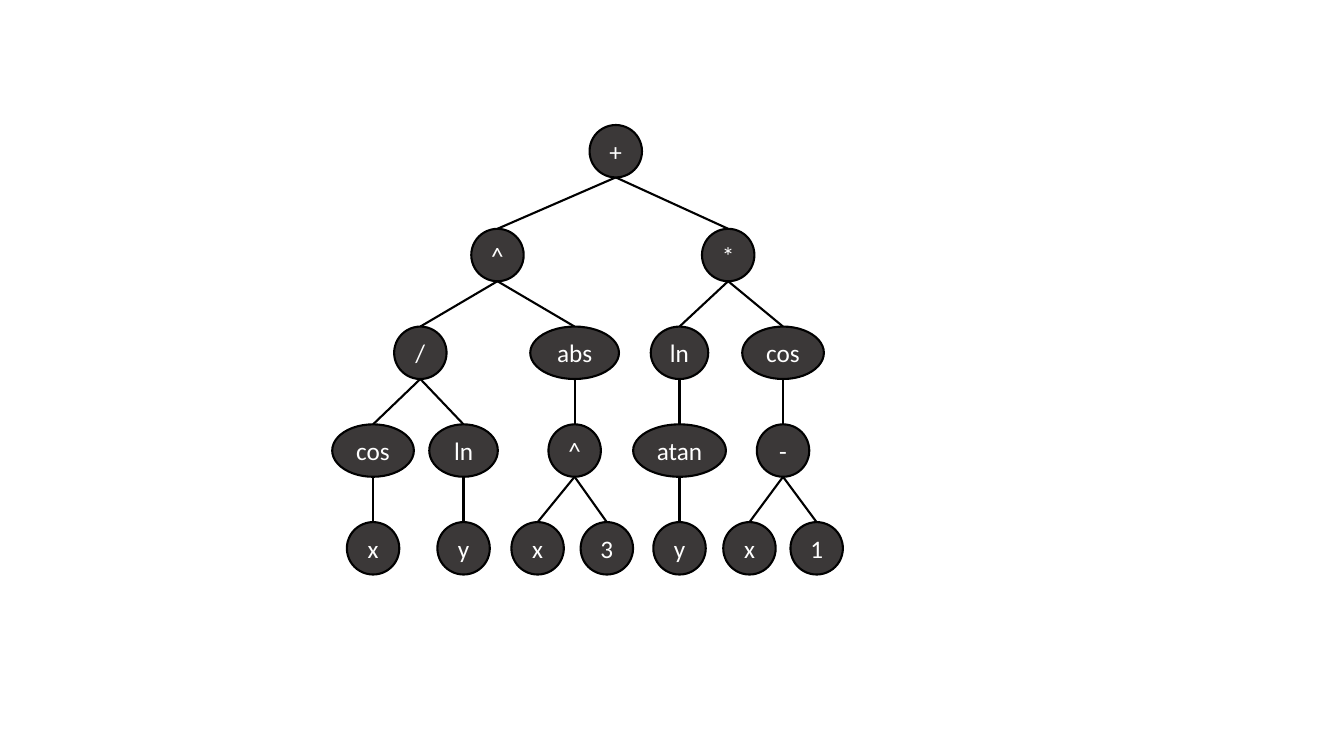
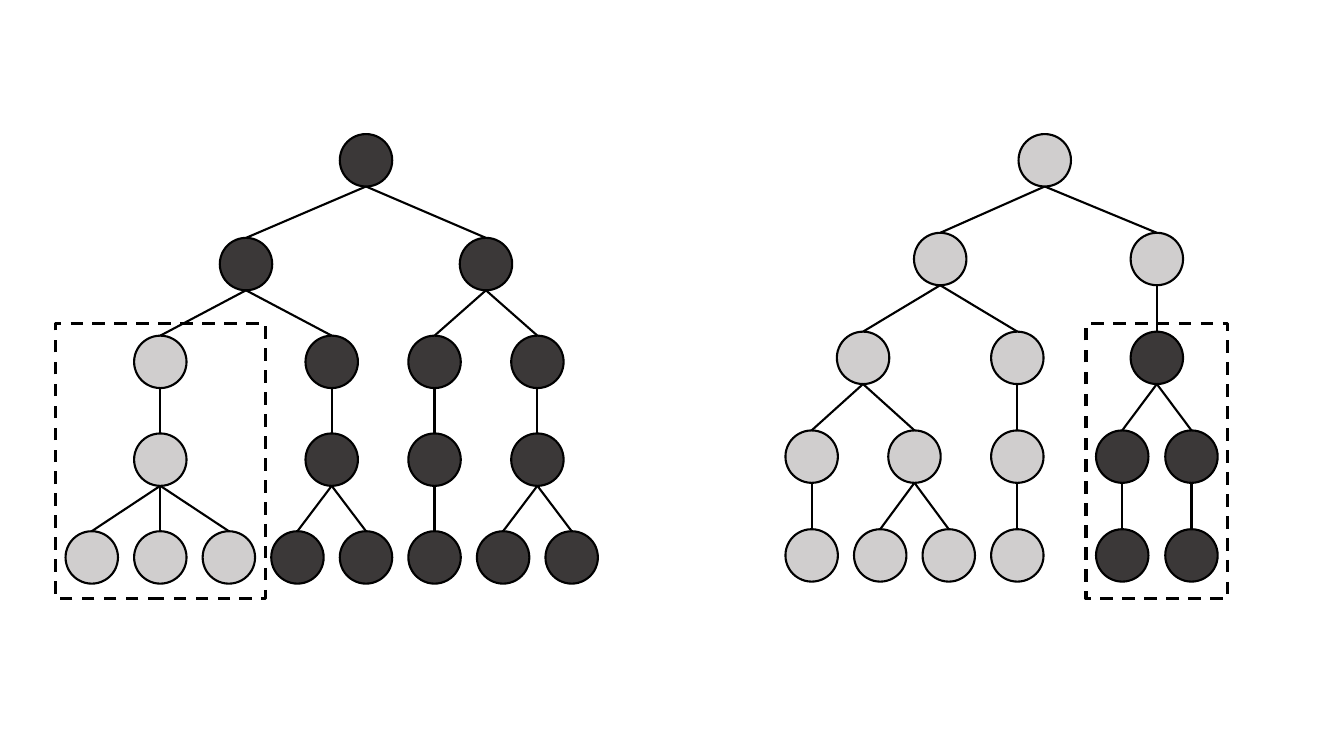
from dataclasses import dataclass
from typing import Optional

from lxml.etree import SubElement
from pptx import Presentation
from pptx.dml.color import RGBColor
from pptx.enum.dml import MSO_LINE
from pptx.enum.shapes import MSO_CONNECTOR, MSO_SHAPE
from pptx.enum.text import MSO_ANCHOR, PP_ALIGN
from pptx.oxml.ns import qn
from pptx.util import Inches, Pt

# Shared style, lengths in inches
DARK, LIGHT, BLACK, WHITE = "3B3838", "D0CECE", "000000", "FFFFFF"
SIZE = 0.52          # node diameter
PITCH = 0.68         # width of a leaf column
PAD = 0.1            # space between leaves and frame
BAND = (3.21, 2.73)  # top and height of the frames
FONT = {"name": "Calibri", "size": Pt(18)}
FRAME = {"tight": {"word_wrap": False, "vertical_anchor": MSO_ANCHOR.MIDDLE,
                   "margin_left": 0, "margin_right": 0},
         "dash": {"width": Pt(2.25), "dash_style": MSO_LINE.DASH},
         "solid": {"width": Pt(1.5)}}


@dataclass
class Node:
    """A tree node; without a column it sits midway over its children."""
    text: str = ""
    kids: tuple = ()
    col: Optional[float] = None
    wide: float = SIZE
    tone: Optional[str] = None
    framed: bool = False

    def mid(self):
        if self.col is not None:
            return self.col
        return (self.kids[0].mid() + self.kids[-1].mid()) / 2


@dataclass
class Box:
    """Centre of the first column, top of the root, and row distances."""
    left: float
    top: float
    drop: float
    step: float

    def x(self, col):
        return self.left + col * PITCH

    def y(self, row):
        return self.top + (self.drop + (row - 1) * self.step if row else 0)


def color(value):
    return RGBColor.from_string(value)


def style(item, values):
    for name, value in values.items():
        setattr(item, name, value)


def stroke(line, kind="solid"):
    line.color.rgb = color(BLACK)
    style(line, FRAME[kind])


def shape(slide, kind, *area):
    item = slide.shapes.add_shape(kind, *map(Inches, area))
    item.shadow.inherit = False
    return item


def disc(slide, node, x, y, tone):
    item = shape(slide, MSO_SHAPE.OVAL, x - node.wide / 2, y, node.wide, SIZE)
    item.fill.solid()
    item.fill.fore_color.rgb = color(tone)
    stroke(item.line)
    if node.text:
        style(item.text_frame, FRAME["tight"])
        para = item.text_frame.paragraphs[0]
        para.alignment = PP_ALIGN.CENTER
        run = para.add_run()
        run.text = node.text
        style(run.font, FONT)
        run.font.color.rgb = color(WHITE)


def edge(slide, *ends):
    link = slide.shapes.add_connector(MSO_CONNECTOR.STRAIGHT,
                                      *map(Inches, ends))
    stroke(link.line)
    SubElement(link._element.spPr, qn("a:effectLst"))


def frame(slide, box, first, last):
    left = box.x(first) - SIZE / 2 - PAD
    right = box.x(last) + SIZE / 2 + PAD
    top, high = BAND
    item = shape(slide, MSO_SHAPE.RECTANGLE, left, top, right - left, high)
    item.fill.background()
    stroke(item.line, "dash")


def tree(slide, node, box, tone, row=0):
    """Draw a node, the edges below it and its subtrees."""
    tone = node.tone or tone
    x, y = box.x(node.mid()), box.y(row)
    for kid in node.kids:
        edge(slide, x, y + SIZE, box.x(kid.mid()), box.y(row + 1))
        tree(slide, kid, box, tone, row + 1)
    disc(slide, node, x, y, tone)
    if node.framed:
        ends = leaves(node)
        frame(slide, box, ends[0], ends[-1])


def leaves(node):
    if not node.kids:
        return [node.col]
    return [col for kid in node.kids for col in leaves(kid)]


def fork(*cols):
    """An unlabelled node over leaves in the given columns."""
    return Node(kids=tuple(Node(col=col) for col in cols))


def over(*kids, **more):
    return Node(kids=kids, **more)


def formula(slide):
    """Expression tree with labelled nodes."""
    ratio = Node("/", (
        Node("cos", (Node("x", col=0),), wide=0.81),
        Node("ln", (Node("y", col=1.32),), wide=0.68)), col=0.69)
    size = Node("abs", (
        Node("^", (Node("x", col=2.4), Node("3", col=3.41)), col=2.94),
    ), wide=0.88)
    log = Node("ln", (
        Node("atan", (Node("y", col=4.47),), wide=0.92),), wide=0.57)
    wave = Node("cos", (
        Node("-", (Node("x", col=5.49), Node("1", col=6.47))),), wide=0.81)
    root = Node("+", (Node("^", (ratio, size)),
                      Node("*", (log, wave), col=5.18)), col=3.54)
    tree(slide, root, Box(3.7, 1.24, 1.03, 0.97), DARK)


def swap(slide):
    """Two trees, each with a framed subtree from the other."""
    graft = over(fork(0, 1, 2), tone=LIGHT, framed=True)
    dark = over(over(graft, over(fork(3, 4))),
                over(over(fork(5)), over(fork(6, 7))))
    tree(slide, dark, Box(0.91, 1.33, 1.03, 0.97), DARK)

    graft = over(fork(4.53), fork(5.54), tone=DARK, framed=True)
    light = over(over(over(fork(0), fork(1, 2)), over(fork(3))),
                 over(graft), col=3.4)
    tree(slide, light, Box(8.05, 1.33, 0.98, 0.98), LIGHT)


deck = Presentation()
style(deck, {"slide_width": Inches(13.33), "slide_height": Inches(7.5)})
for draw in (formula, swap):
    draw(deck.slides.add_slide(deck.slide_layouts[6]))
deck.save("out.pptx")
